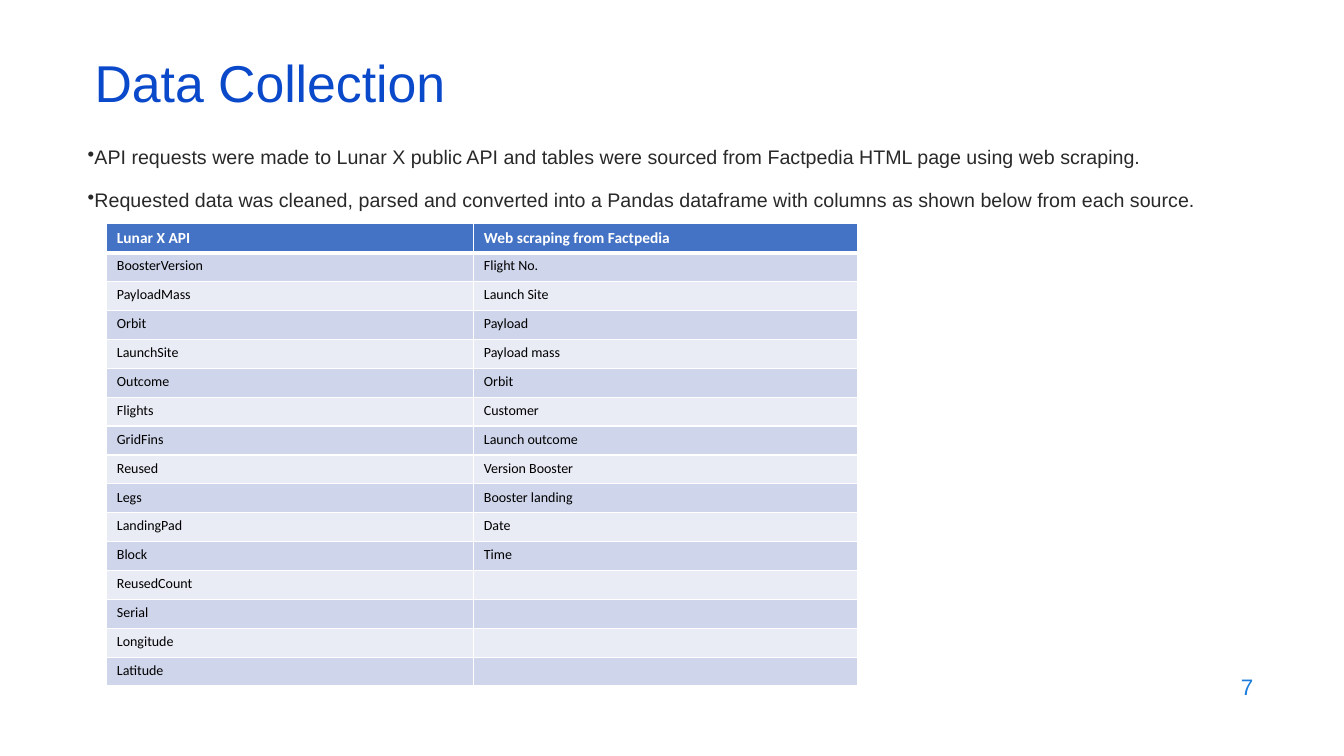
from itertools import zip_longest

from lxml.etree import SubElement
from pptx import Presentation
from pptx.dml.color import RGBColor
from pptx.enum.text import MSO_ANCHOR as Anchor, PP_ALIGN as Align
from pptx.oxml import parse_xml
from pptx.oxml.ns import nsdecls, qn
from pptx.util import Emu, Pt

PX = 9144  # EMU per px, 100 px to the inch

WHITE = RGBColor(0xFF, 0xFF, 0xFF)
BLACK = RGBColor(0x00, 0x00, 0x00)
INK = RGBColor(0x29, 0x29, 0x29)
TITLE_BLUE = RGBColor(0x0B, 0x49, 0xCB)
NUMBER_BLUE = RGBColor(0x1C, 0x7D, 0xDB)
HEADER_BLUE = RGBColor(0x44, 0x72, 0xC4)
BANDS = RGBColor(0xE9, 0xEB, 0xF5), RGBColor(0xCF, 0xD5, 0xEA)

BULLETS = [
    "API requests were made to Lunar X public API and tables were sourced "
    "from Factpedia HTML page using web scraping.",
    "Requested data was cleaned, parsed and converted into a Pandas dataframe "
    "with columns as shown below from each source.",
]
API_COLUMN = [
    "Lunar X API", "BoosterVersion", "PayloadMass", "Orbit", "LaunchSite",
    "Outcome", "Flights", "GridFins", "Reused", "Legs", "LandingPad", "Block",
    "ReusedCount", "Serial", "Longitude", "Latitude",
]
SCRAPED_COLUMN = [
    "Web scraping from Factpedia", "Flight No.", "Launch Site", "Payload",
    "Payload mass", "Orbit", "Customer", "Launch outcome", "Version Booster",
    "Booster landing", "Date", "Time",
]


class SlideBuilder:
    """Holds the text styles and the slide being built."""

    styles = {
        "title": {"name": "Arial", "size": Pt(37), "color": TITLE_BLUE},
        "body": {"name": "Arial", "size": Pt(14), "color": INK},
        "number": {"name": "Arial", "size": Pt(16), "color": NUMBER_BLUE},
        "header": {"name": "Calibri", "size": Pt(11), "bold": True, "color": WHITE},
        "cell": {"name": "Calibri", "size": Pt(10), "bold": False, "color": BLACK},
    }

    def __init__(self, deck):
        self.slide = deck.slides.add_slide(deck.slide_layouts[6])

    def add_span(self, para, text, style):
        """Add one styled run, or give an empty paragraph its text size."""
        values = self.styles[style]
        if not text:
            size = str(int(values["size"].pt * 100))
            SubElement(para._p, qn("a:endParaRPr"), sz=size)
            return
        span = para.add_run()
        span.text = text
        for key, value in values.items():
            if key == "color":
                span.font.color.rgb = value
            else:
                setattr(span.font, key, value)

    def text(self, area, lines, style, anchor=Anchor.TOP, bullet=None, **layout):
        box = self.slide.shapes.add_textbox(*(Emu(n * PX) for n in area))
        frame = box.text_frame
        frame.word_wrap = True
        frame.vertical_anchor = anchor
        for index, line in enumerate(lines):
            para = frame.add_paragraph() if index else frame.paragraphs[0]
            if bullet:
                props = para._p.get_or_add_pPr()
                props.set("marL", "0")
                props.set("indent", "0")
                SubElement(props, qn("a:buChar"), char=bullet)
            for key, value in layout.items():
                if index or key != "space_before":
                    setattr(para, key, value)
            self.add_span(para, line, style)

    def borders(self, cell, widths):
        """Draw white cell borders; widths maps each side to points."""
        props = cell._tc.get_or_add_tcPr()
        for place, (side, width) in enumerate(widths.items()):
            props.insert(place, parse_xml(
                f'<a:ln{side} {nsdecls("a")} w="{Pt(width)}"><a:solidFill>'
                f'<a:srgbClr val="{WHITE}"/></a:solidFill></a:ln{side}>'))

    def table(self, area, widths, rows):
        place = (Emu(n * PX) for n in area)
        grid = self.slide.shapes.add_table(len(rows), len(widths), *place).table
        for column, width in zip(grid.columns, widths):
            column.width = Emu(width * PX)
        for r, row in enumerate(rows):
            for c, text in enumerate(row):
                cell = grid.cell(r, c)
                cell.fill.solid()
                cell.fill.fore_color.rgb = BANDS[r % 2] if r else HEADER_BLUE
                self.borders(cell, {"L": 1, "R": 1, "T": 3 if r == 1 else 1,
                                    "B": 1 if r else 3})
                self.add_span(cell.text_frame.paragraphs[0], text,
                              "cell" if r else "header")


def main():
    deck = Presentation()
    deck.slide_width, deck.slide_height = Emu(1333 * PX), Emu(750 * PX)
    page = SlideBuilder(deck)

    # Page number
    page.text((953, 659, 300, 44), ["7"], "number", Anchor.MIDDLE,
              alignment=Align.RIGHT)

    # Bullets and title
    page.text((77, 139, 1150, 476), BULLETS, "body", bullet="•",
              space_before=Pt(14))
    page.text((84, 59, 1150, 60), ["Data Collection"], "title", Anchor.MIDDLE,
              line_spacing=0.7)

    # Columns obtained from each source
    rows = list(zip_longest(API_COLUMN, SCRAPED_COLUMN, fillvalue=""))
    page.table((106, 222, 745, 459), (364, 381), rows)

    deck.save("out.pptx")


if __name__ == "__main__":
    main()
